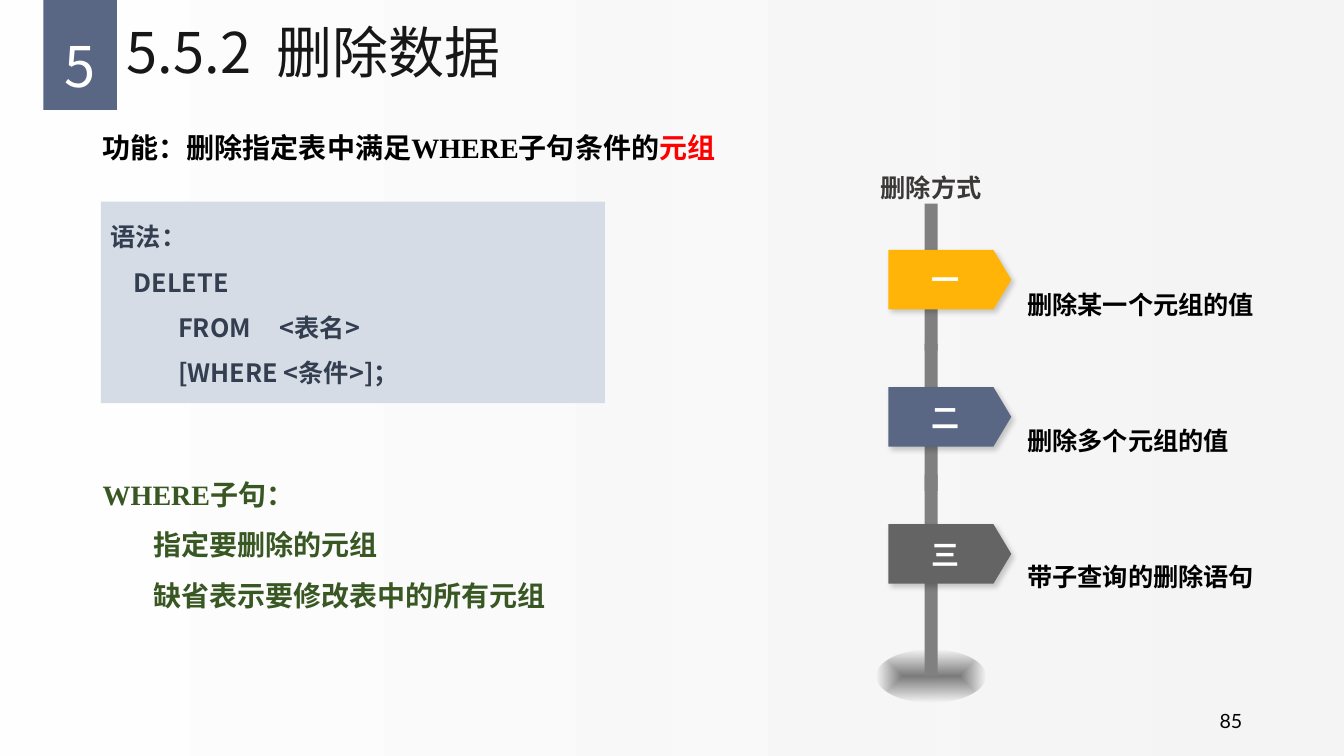
from lxml import etree
from pptx import Presentation
from pptx.dml.color import RGBColor
from pptx.enum.shapes import MSO_SHAPE
from pptx.enum.text import MSO_ANCHOR, PP_ALIGN
from pptx.oxml import parse_xml
from pptx.oxml.ns import qn
from pptx.util import Inches, Pt

RECT, OVAL, FLAG = MSO_SHAPE.RECTANGLE, MSO_SHAPE.OVAL, MSO_SHAPE.PENTAGON
TOP, MID = MSO_ANCHOR.TOP, MSO_ANCHOR.MIDDLE
LEFT, MIDDLE, RIGHT, JUST = PP_ALIGN.LEFT, PP_ALIGN.CENTER, PP_ALIGN.RIGHT, PP_ALIGN.JUSTIFY
SANS, SERIF, LATO = "Noto Sans CJK SC", "Times New Roman", "Lato"
NS = 'xmlns:a="http://schemas.openxmlformats.org/drawingml/2006/main"'
WIDE, HIGH = 13.33, 7.5

# Content: lines are (text, left margin, first-line indent)
CLAUSE = [("WHERE子句：", 0, 0), ("指定要删除的元组", 0.5, 0),
          ("缺省表示要修改表中的所有元组", 0.5, 0)]
SYNTAX = [("语法：", 0, 0), ("DELETE", 0.23, 0),
          ("FROM     <表名>", 0.67, 0), ("[WHERE <条件>]；", 0.67, 0)]
WAYS = [("一", "删除某一个元组的值", "FFB407"),
        ("二", "删除多个元组的值", "596784"),
        ("三", "带子查询的删除语句", "646464")]

# Rough edge of the syntax panel: two controls and an end point per curve
START = (0.92, 2.15)
EDGE = [
    (1.14, 2.15, 1.29, 2.14, 1.63, 2.15), (1.96, 2.16, 2.23, 2.14, 2.39, 2.15),
    (2.55, 2.15, 2.84, 2.12, 3.26, 2.15), (3.67, 2.17, 3.75, 2.13, 3.97, 2.15),
    (4.19, 2.17, 4.46, 2.13, 4.63, 2.15), (4.79, 2.16, 5.06, 2.18, 5.39, 2.15),
    (5.72, 2.11, 6.07, 2.14, 6.26, 2.15), (6.28, 2.45, 6.24, 2.59, 6.26, 2.81),
    (6.28, 3.02, 6.25, 3.25, 6.26, 3.45), (6.26, 3.65, 6.24, 3.89, 6.26, 4.02),
    (5.97, 4.04, 5.66, 4.05, 5.44, 4.02), (5.23, 3.99, 4.89, 4.05, 4.63, 4.02),
    (4.36, 3.98, 4.18, 4.05, 4.02, 4.02), (3.87, 3.99, 3.42, 3.98, 3.26, 4.02),
    (3.1, 4.05, 2.81, 4.06, 2.5, 4.02), (2.18, 3.98, 1.83, 4, 1.63, 4.02),
    (1.42, 4.03, 1.15, 4.04, 0.92, 4.02), (0.93, 3.88, 0.89, 3.68, 0.92, 3.36),
    (0.95, 3.03, 0.93, 2.95, 0.92, 2.73), (0.91, 2.51, 0.93, 2.31, 0.92, 2.15),
]

deck = Presentation()
deck.slide_width, deck.slide_height = Inches(WIDE), Inches(HIGH)
page = deck.slides.add_slide(deck.slide_layouts[6])


def color(code):
    return RGBColor.from_string(code)


def paint(shape, code):
    shape.shadow.inherit = False
    shape.fill.solid()
    shape.fill.fore_color.rgb = color(code)
    shape.line.fill.background()
    return shape


def block(kind, box, code):
    return paint(page.shapes.add_shape(kind, *map(Inches, box)), code)


def blend(shape, stops, way):
    """Swap the plain fill for a gradient of (position, colour, opacity)."""
    marks = "".join(
        f'<a:gs pos="{pos * 1000}"><a:srgbClr val="{code}">'
        f'<a:alpha val="{part * 1000}"/></a:srgbClr></a:gs>'
        for pos, code, part in stops)
    plain = shape._element.spPr.find(qn("a:solidFill"))
    plain.getparent().replace(plain, parse_xml(
        f'<a:gradFill {NS} rotWithShape="1"><a:gsLst>{marks}</a:gsLst>{way}</a:gradFill>'))


def write(shape, lines, size, code, font=SANS, bold=False, align=LEFT,
          space=None, anchor=TOP, inset=None):
    frame = shape.text_frame
    frame.word_wrap, frame.vertical_anchor = True, anchor
    if inset is not None:
        frame.margin_left = frame.margin_right = Inches(inset)
        frame.margin_top = frame.margin_bottom = Inches(inset)
    for i, (text, left, first) in enumerate(lines):
        para = frame.add_paragraph() if i else frame.paragraphs[0]
        para.add_run().text = text
        para.alignment, para.line_spacing = align, space
        face = para.font
        face.size, face.bold, face.name = Pt(size), bold, font
        face.color.rgb = color(code)
        props = para._p.get_or_add_pPr()
        props.set("marL", str(Inches(left)))
        props.set("indent", str(Inches(first)))
        etree.SubElement(props.find(qn("a:defRPr")), qn("a:ea")).set("typeface", SANS)
    return frame


def label(box, lines, *args, **style):
    return write(page.shapes.add_textbox(*map(Inches, box)), lines, *args, **style)


# Backdrop and chapter badge
back = block(RECT, (0, 0, WIDE, HIGH), "FFFFFF")
blend(back, [(0, "FFFFFF", 100), (100, "F2F2F2", 72)], '<a:lin ang="0" scaled="0"/>')
block(RECT, (0.43, 0, 0.73, 1.09), "596784")
label((0.43, 0.11, 0.73, 0.79), [("5", 0, 0)], 40, "FFFFFF",
      align=MIDDLE, space=1.3, inset=0)

# Title, purpose and page number
label((1.16, 0, 9.92, 1.1), [("5.5.2  删除数据", 0, 0)], 40, "181717",
      space=0.9, anchor=MID)
aim = label((0.92, 1.25, 6.67, 0.58),
            [("功能：删除指定表中满足WHERE子句条件的", 0.25, -0.25)],
            20, "000000", SERIF, True, JUST).paragraphs[0]
aim.space_before = Pt(10)
key = aim.add_run()
key.text = "元组"
key.font.color.rgb = color("FF0000")
label((9.42, 6.95, 3, 0.4), [("85", 0, 0)], 14, "000000", LATO,
      align=RIGHT, anchor=MID)

# Clause notes
label((0.92, 4.52, 6.67, 1.56), CLAUSE, 20, "385723", SERIF, True, JUST, 1.5)

# Syntax panel
STEPS = 6
dots, (x, y) = [], START
for ax, ay, bx, by, ex, ey in EDGE:
    for n in range(1, STEPS + 1):
        t = n / STEPS
        u = 1 - t
        w = (u ** 3, 3 * u * u * t, 3 * u * t * t, t ** 3)
        dots.append((w[0] * x + w[1] * ax + w[2] * bx + w[3] * ex,
                     w[0] * y + w[1] * ay + w[2] * by + w[3] * ey))
    x, y = ex, ey
pen = page.shapes.build_freeform(*START, scale=Inches(1))
pen.add_line_segments(dots)
panel = paint(pen.convert_to_shape(), "D6DCE5")
write(panel, SYNTAX, 18, "333F50", bold=True, space=1.5)

# Signpost: foot, pole, heading
foot = block(OVAL, (8.69, 6.45, 1.08, 0.52), "000000")
blend(foot, [(0, "000000", 50), (100, "000000", 0)],
      '<a:path path="shape"><a:fillToRect l="50000" t="50000" r="50000" b="50000"/></a:path>')
for top, tall in ((2.02, 1.46), (3.41, 1.46), (4.71, 2)):
    block(RECT, (9.17, top, 0.13, tall), "808080")
label((8.63, 1.54, 1.21, 0.49), [("删除方式", 0, 0)], 18, "3B3838",
      bold=True, align=MIDDLE, space=1.4)

# Flags and the ways they mark
for i, (mark, _, code) in enumerate(WAYS):
    flag = block(FLAG, (8.81, 2.48 + 1.36 * i, 1.22, 0.59), code)
    flag.adjustments[0] = 0.3
    flag._element.spPr.find(qn("a:effectLst")).append(parse_xml(
        f'<a:outerShdw {NS} blurRad="{Pt(4)}" dist="{Pt(3)}" dir="2700000">'
        '<a:srgbClr val="000000"><a:alpha val="20000"/></a:srgbClr></a:outerShdw>'))
    write(flag, [(mark, 0, 0)], 20, "FFFFFF", bold=True, align=MIDDLE, anchor=MID)
label((9.59, 1.77, 4.33, 3.92), [(way, 0.5, 0) for _, way, _ in WAYS],
      18, "000000", bold=True, space=4.5)

deck.save("out.pptx")
